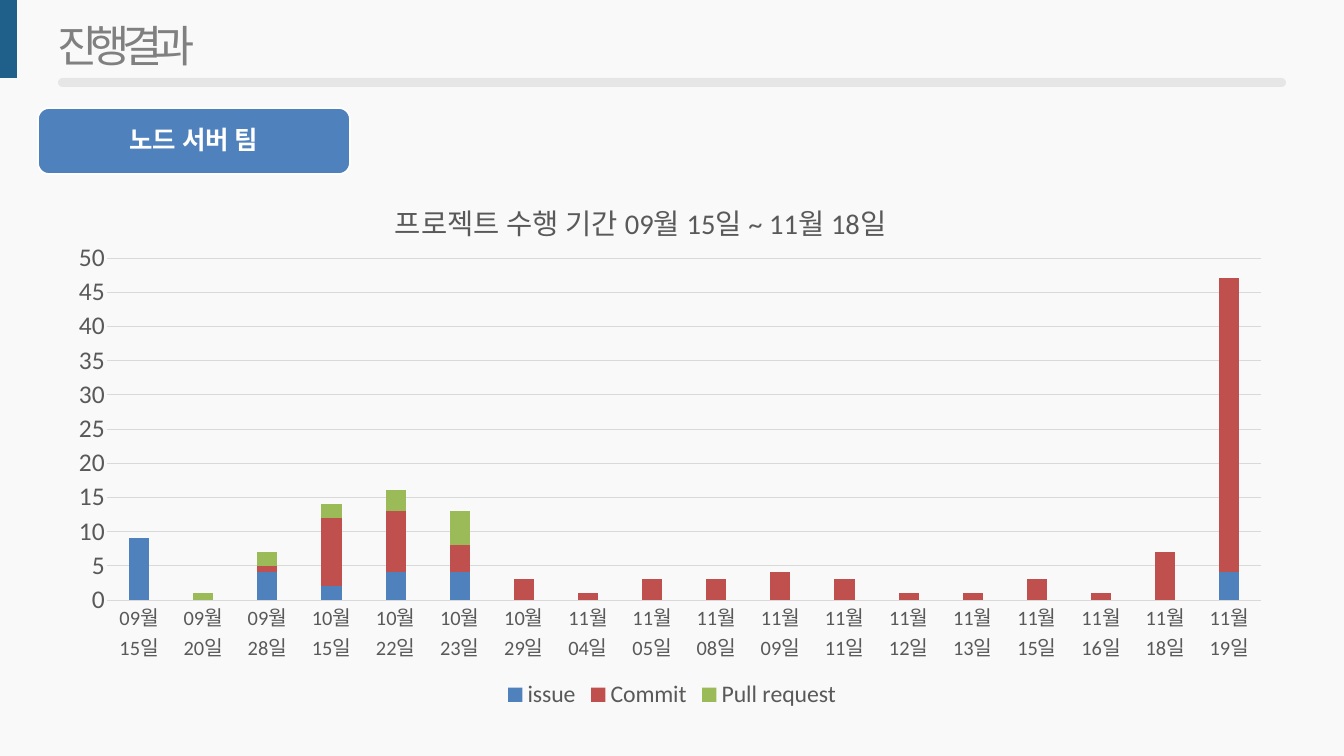
from lxml import etree
from pptx import Presentation
from pptx.chart.data import CategoryChartData
from pptx.dml.color import RGBColor
from pptx.enum.chart import XL_CHART_TYPE, XL_LEGEND_POSITION, XL_TICK_MARK
from pptx.enum.shapes import MSO_SHAPE as SHAPE
from pptx.enum.text import MSO_ANCHOR, PP_ALIGN
from pptx.oxml import parse_xml
from pptx.oxml.ns import nsdecls, qn
from pptx.util import Pt

EMU_PER_PX = 14961
KOREAN, LATIN = "Noto Sans CJK KR", "Calibri"
GREY, GRID = "595959", "D9D9D9"
DAYS = {"09": "15 20 28", "10": "15 22 23 29",
        "11": "04 05 08 09 11 12 13 15 16 18 19"}
SERIES = [
    ("issue", "4F81BD", [9, None, 4, 2, 4, 4] + [None] * 11 + [4]),
    ("Commit", "C0504D",
     [None, None, 1, 10, 9, 4, 3, 1, 3, 3, 4, 3, 1, 1, 3, 1, 7, 43]),
    ("Pull request", "9BBB59", [None, 1, 2, 2, 3, 5] + [None] * 12),
]


def px(*lengths):
    return [length * EMU_PER_PX for length in lengths]


def color(code):
    return RGBColor.from_string(code)


def style(font, size, code, name=LATIN, bold=False):
    font.size, font.name, font.bold = Pt(size), name, bold
    font.color.rgb = color(code)


def add_run(para, text, size, code, name=LATIN, bold=False):
    run = para.add_run()
    run.text = text
    style(run.font, size, code, name, bold)
    props = run.font._element
    east_asian = etree.SubElement(props, qn("a:ea"))
    east_asian.set("typeface", KOREAN)
    props.find(qn("a:latin")).addnext(east_asian)
    return run


def add_block(page, kind, box, fill):
    block = page.shapes.add_shape(kind, *px(*box))
    block.shadow.inherit = False
    block.fill.solid()
    block.fill.fore_color.rgb = color(fill)
    block.line.fill.background()
    return block


def add_header(page, box):
    left, top, width, height = box
    add_block(page, SHAPE.RECTANGLE, (0, top, 17, height), "1E608A")
    rule = add_block(page, SHAPE.ROUNDED_RECTANGLE,
                     (left, top + height, width, 9), "E7E6E6")
    rule.adjustments[0] = 0.5
    title = page.shapes.add_textbox(*px(left, top + 18, 604, 54))
    frame = title.text_frame
    frame.word_wrap = True
    frame.margin_left = frame.margin_right = frame.margin_bottom = 0
    frame.margin_top = Pt(1.2)
    run = add_run(frame.paragraphs[0], "진행 결과", 51.5, "808080", KOREAN)
    run.font._element.set("spc", "-1010")


def add_team_label(page, box):
    label = add_block(page, SHAPE.ROUNDED_RECTANGLE, box, "4F81BD")
    label.line.color.rgb = color("FFFFFF")
    label.line.width = Pt(2)
    frame = label.text_frame
    frame.word_wrap = True
    frame.vertical_anchor = MSO_ANCHOR.MIDDLE
    para = frame.paragraphs[0]
    para.alignment = PP_ALIGN.CENTER
    para.line_spacing = 0.9
    add_run(para, "노드 서버 팀", 30, "FFFFFF", bold=True)


def place(element, before, **fractions):
    """Give a chart part a fixed place, in fractions of the chart."""
    for old in element.findall(qn("c:layout")):
        element.remove(old)
    target = '<c:layoutTarget val="inner"/>' if "w" in fractions else ""
    modes = "".join(f'<c:{key}Mode val="edge"/>' for key in "xy")
    values = "".join(f'<c:{key} val="{value}"/>'
                     for key, value in fractions.items())
    layout = parse_xml(f'<c:layout {nsdecls("c")}><c:manualLayout>{target}'
                       f'{modes}{values}</c:manualLayout></c:layout>')
    element.find(qn(before)).addprevious(layout)


def style_axes(chart):
    for axis, size in ((chart.category_axis, 24), (chart.value_axis, 30)):
        axis.major_tick_mark = axis.minor_tick_mark = XL_TICK_MARK.NONE
        style(axis.tick_labels.font, size, GREY)
    values = chart.value_axis
    values.minimum_scale, values.maximum_scale, values.major_unit = 0, 50, 5
    values.format.line.fill.background()
    for line in (chart.category_axis.format.line,
                 values.major_gridlines.format.line):
        line.color.rgb = color(GRID)
        line.width = Pt(0.75)


def add_activity_chart(page, box):
    data = CategoryChartData()
    data.categories = [f"{month}월 {day}일" for month, days in DAYS.items()
                       for day in days.split()]
    for name, _, values in SERIES:
        data.add_series(name, values)
    chart = page.shapes.add_chart(XL_CHART_TYPE.COLUMN_STACKED,
                                  *px(*box), data).chart
    style(chart.font, 28, "000000")
    style_axes(chart)

    plot = chart.plots[0]
    plot.gap_width, plot.overlap = 219, 100
    plot.vary_by_categories = False
    for series, (_, fill, _) in zip(plot.series, SERIES):
        series.format.fill.solid()
        series.format.fill.fore_color.rgb = color(fill)
        series.invert_if_negative = False

    title = chart.chart_title
    add_run(title.text_frame.paragraphs[0],
            "프로젝트 수행 기간 09월 15일 ~ 11월 18일", 33.6, GREY)
    title.include_in_layout = False
    place(title._element, "c:overlay", x=0.27, y=0.04)
    place(chart._chartSpace.chart.plotArea, "c:barChart",
          x=0.04, y=0.16, w=0.94, h=0.63)

    chart.has_legend = True
    chart.legend.position = XL_LEGEND_POSITION.BOTTOM
    chart.legend.include_in_layout = False
    style(chart.legend.font, 28, GREY)


def main():
    deck = Presentation()
    deck.slide_width, deck.slide_height = px(1344, 756)
    page = deck.slides.add_slide(deck.slide_layouts[6])
    page.background.fill.solid()
    page.background.fill.fore_color.rgb = color("F9F9F9")
    add_header(page, (58, 0, 1228, 78))
    add_team_label(page, (38, 108, 312, 66))
    add_activity_chart(page, (58, 171, 1228, 543))
    deck.save("out.pptx")


if __name__ == "__main__":
    main()
